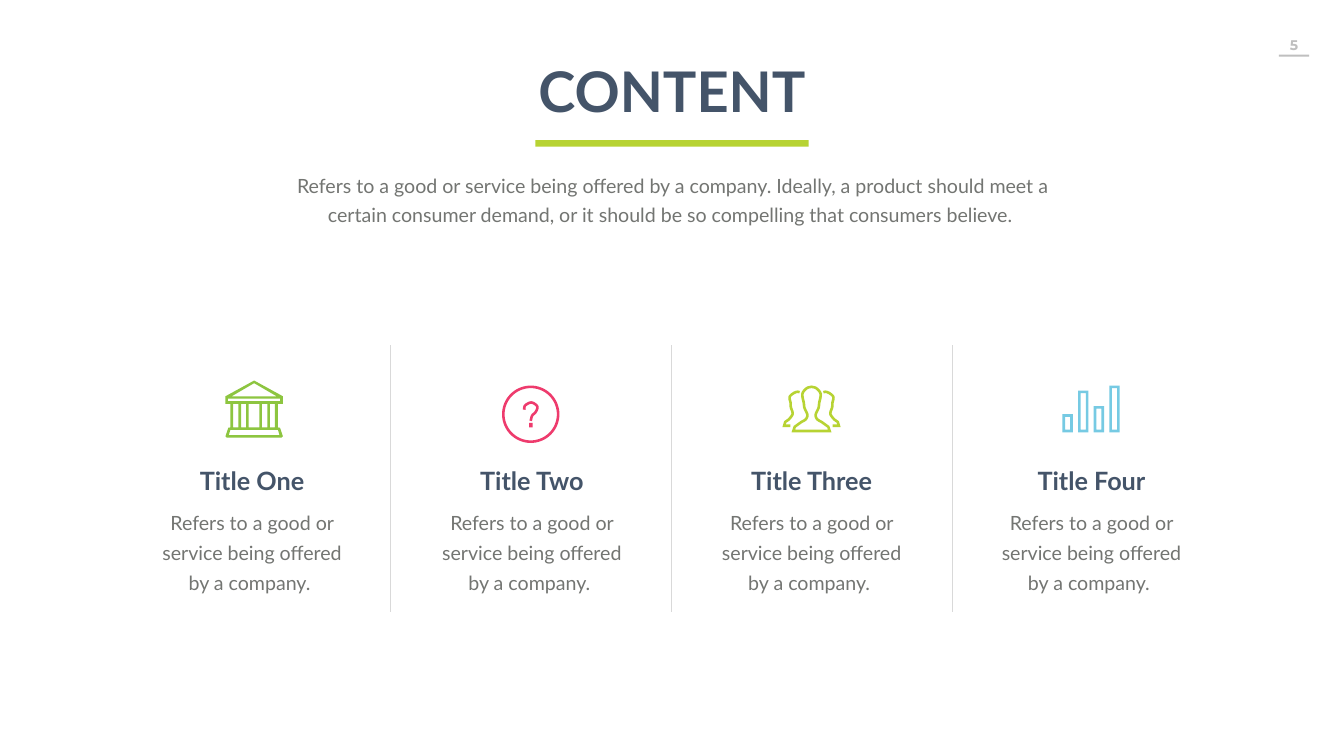
import math

from lxml import etree
from pptx import Presentation
from pptx.dml.color import RGBColor
from pptx.enum import shapes, text
from pptx.oxml import ns
from pptx.util import Pt

HUES = {
    "navy": "445469", "gray": "737572", "pale": "BFBFBF", "rule": "D9D9D9",
    "lime": "B7D333", "green": "8DC540", "pink": "EE3B6D", "sky": "76CAE3",
}
SIDE = 82    # icon box
PEN = 3.7    # icon line weight
MID = 360    # centre of the first column
STEP = 399.6
BLURB = "Refers to a good or service being offered by a company. "
INTRO = (BLURB + "Ideally, a product should meet a certain consumer demand, "
         "or it should be so compelling that consumers believe. ")


def hue(name):
    return RGBColor.from_string(HUES[name])


def write(box, words, size=28, color="gray", font="Lato", bold=False,
          lead=None, before=0, pad=(7.2, 3.6)):
    """Fill a box with one centred, formatted paragraph."""
    body = box.text_frame
    body.word_wrap = True
    body.auto_size = text.MSO_AUTO_SIZE.NONE
    body.vertical_anchor = text.MSO_ANCHOR.TOP
    body.margin_left = body.margin_right = Pt(pad[0])
    body.margin_top = body.margin_bottom = Pt(pad[1])
    para = body.paragraphs[0]
    para.alignment = text.PP_ALIGN.CENTER
    para.space_before = Pt(before)
    if lead:
        para.line_spacing = Pt(lead)
    run = para.add_run()
    run.text = words
    run.font.name, run.font.size, run.font.bold = font, Pt(size), bold
    run.font.color.rgb = hue(color)


def curve(knots, parts=8):
    """Points of a smooth (Catmull-Rom) curve through the knots."""
    ends = [knots[0], *knots, knots[-1]]
    dots = []
    for a, b, c, d in zip(ends, ends[1:], ends[2:], ends[3:]):
        for i in range(parts):
            t = i / parts
            dots.append(tuple(
                q + t * (r - p) / 2 + t * t * (2 * p - 5 * q + 4 * r - s) / 2
                + t ** 3 * (3 * q - p - 3 * r + s) / 2
                for p, q, r, s in zip(a, b, c, d)))
    return dots + [knots[-1]]


def thick(dots, close=False):
    """Outlines of a line of PEN weight along the dots."""
    path = [complex(*dot) for dot in dots]
    legs = [(b - a) / abs(b - a) for a, b in zip(path, path[1:] + path[:1])]
    if not close:
        legs[-1] = legs[-2]
    left, right = [], []
    for i, spot in enumerate(path):
        come, go = legs[i - 1] if i or close else legs[0], legs[i]
        dot = (come * go.conjugate()).real
        off = 1j * (come + go) / (1 + dot) * PEN / 2
        left.append((spot.real + off.real, spot.imag + off.imag))
        right.append((spot.real - off.real, spot.imag - off.imag))
    return [left, right] if close else [left + right[::-1]]


def flip(dots):
    return [(SIDE - x, y) for x, y in dots]


def frame(left, top, right, low):
    return [(left, top), (right, top), (right, low), (left, low)]


def ring(radius, parts=72):
    turns = [math.tau * i / parts for i in range(parts)]
    return [(SIDE / 2 + radius * math.cos(t), SIDE / 2 + radius * math.sin(t))
            for t in turns]


class Deck:
    def __init__(self, wide, high):
        self.file = Presentation()
        self.file.slide_width, self.file.slide_height = Pt(wide), Pt(high)
        self.slide = self.file.slides.add_slide(self.file.slide_layouts[5])
        self.items = self.slide.shapes

    def title(self, words, x, y, w, h, **style):
        box = self.items.title
        box.left, box.top, box.width, box.height = map(Pt, (x, y, w, h))
        write(box, words, **style)

    def label(self, words, x, y, w, h, **style):
        write(self.items.add_textbox(*map(Pt, (x, y, w, h))), words, **style)

    def paint(self, shape, color):
        shape.shadow.inherit = False
        shape.fill.solid()
        shape.fill.fore_color.rgb = hue(color)
        shape.line.fill.background()

    def block(self, color, x, y, w, h):
        self.paint(self.items.add_shape(shapes.MSO_SHAPE.RECTANGLE,
                                        *map(Pt, (x, y, w, h))), color)

    def rule(self, color, x, top, low):
        line = self.items.add_connector(shapes.MSO_CONNECTOR.STRAIGHT,
                                        *map(Pt, (x, top, x, low)))
        line.line.color.rgb, line.line.width = hue(color), Pt(0.5)
        etree.SubElement(line._element.spPr, ns.qn("a:effectLst"))

    def icon(self, color, x, y, loops):
        """Fill the loops, given relative to (x, y); inner loops are holes."""
        paths = [[(Pt(x + a), Pt(y + b)) for a, b in dots] for dots in loops]
        pen = self.items.build_freeform(*paths[0][0])
        for i, path in enumerate(paths):
            if i:
                pen.move_to(*path[0])
            pen.add_line_segments(path[1:], close=True)
        self.paint(pen.convert_to_shape(), color)


def bank():
    half = [(41, 0), (0, 22.5), (0, 33.2), (7.2, 33.2), (7.2, 67),
            (4, 67.5), (0, 79.5), (1.8, 81.6)]
    roof = [(41, 3.8), (73, 22.5), (9, 22.5)]
    base = [(7, 70.5), (75, 70.5), (77.2, 78), (4.8, 78)]
    gaps = ((10.8, 18.6), (22.3, 29.5), (33.1, 48.3), (52, 59.8), (63.4, 70.6))
    return [half + flip(half)[:0:-1], roof, frame(3.6, 26, 78, 29.6), base,
            *(frame(left, 33.2, right, 67) for left, right in gaps)]


def query():
    hook = [(31.7, 34.5), (33, 28.5), (41.5, 24.2), (49, 28), (50.4, 32.5),
            (47.5, 38.5), (43, 43), (41, 50.4)]
    return [ring(41), ring(41 - PEN), *thick(curve(hook)),
            frame(38.7, 53.3, 43.7, 59.8)]


def crowd():
    half = [(15, 65)] + curve([
        (17, 59), (26, 52.5), (33, 48), (35, 41.5), (31, 32), (30, 25),
        (28, 12), (34, 4), (41, 1.8)])
    side = curve([(24, 9.6), (20.5, 9), (15, 11.2), (9.8, 16.5), (11.2, 25.2),
                  (11.5, 31), (14, 40.5), (8.6, 48.5)])
    side += [(3.5, 52), (1.9, 57.5), (10.8, 57.5)]
    return [*thick(half + flip(half)[-2::-1], close=True),
            *thick(side), *thick(flip(side))]


def bars():
    loops = []
    for i, top in enumerate((42.8, 9, 31.3, 1.8)):
        left = 1.8 + 22.3 * i
        loops += thick(frame(left, top, left + 11, 65), close=True)
    return loops


COLUMNS = [
    ("Title One", bank(), "green", 363, 543.6),
    ("Title Two", query(), "pink", 758, 550.8),
    ("Title Three", crowd(), "lime", 1159, 550.8),
    ("Title Four", bars(), "sky", 1558.5, 550.8),
]


def main():
    deck = Deck(1919.52, 1080)
    deck.label("5", 1814, 44.6, 68, 39, size=20, color="pale",
               font="Montserrat", bold=True, pad=(14.4, 7.2))
    deck.block("pale", 1826.6, 78.2, 43.2, 2.9)
    deck.title("CONTENT", 719.3, 77.8, 481, 104.4,
               size=80, color="navy", bold=True)
    deck.block("lime", 764.6, 200.2, 390.2, 9.4)
    deck.label(INTRO, 410.4, 238.3, 1100.2, 85.7, lead=40.8)
    for i, (name, loops, color, center, top) in enumerate(COLUMNS):
        mid = MID + STEP * i
        deck.icon(color, center - SIDE / 2, top, loops)
        deck.label(name, mid - 120, 661, 240, 51,
                   size=36, color="navy", bold=True)
        deck.label(BLURB, mid - 148.7, 711.4, 297.4, 142.6,
                   lead=43, before=5.6, pad=(17.3, 8.6))
    for i in range(3):
        deck.rule("rule", 556.6 + 401.8 * i, 493.2, 874.8)
    deck.file.save("out.pptx")


if __name__ == "__main__":
    main()
